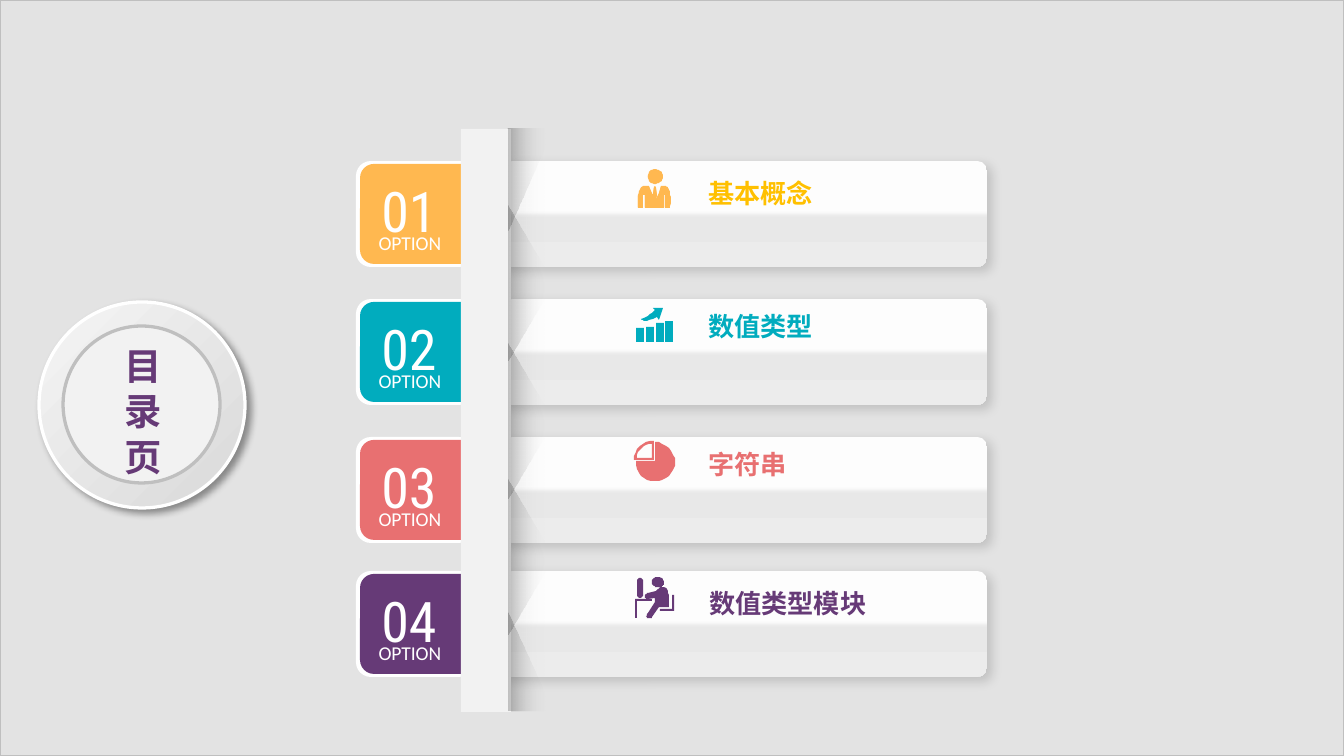
from lxml import etree
from pptx import Presentation
from pptx.dml.color import RGBColor
from pptx.enum.shapes import MSO_SHAPE
from pptx.enum.text import MSO_AUTO_SIZE, PP_ALIGN
from pptx.oxml.ns import qn
from pptx.util import Emu, Pt

RECTANGLE, ROUNDED = MSO_SHAPE.RECTANGLE, MSO_SHAPE.ROUNDED_RECTANGLE
OVAL, TRAPEZOID = MSO_SHAPE.OVAL, MSO_SHAPE.TRAPEZOID
CENTER, LEFT = PP_ALIGN.CENTER, PP_ALIGN.LEFT
FIT_SHAPE = MSO_AUTO_SIZE.SHAPE_TO_FIT_TEXT

PX = 914400 / 134.4
CJK, DIGITS, LABEL = "Noto Sans CJK SC", "Roboto Condensed", "Calibri"
COLORS = {
    "white": "FFFFFF", "black": "000000", "backdrop": "808080", "border": "BFBFBF",
    "spine": "F2F2F2", "ring_light": "F5F5F5", "ring_dark": "D9D9D9",
    "bar_top": "FDFDFD", "bar_fold": "E8E8E8", "bar_bottom": "ECECEC",
    "orange": "FFB850", "gold": "FFC000", "teal": "01ACBE", "coral": "E87071", "purple": "663A77",
}

# Gradient stops: position %, colour, opacity %
RING = [(0, "ring_light", 100), (100, "ring_dark", 100)]
BAR = [(47, "bar_top", 100), (53, "bar_fold", 100), (100, "bar_bottom", 100)]
SOFT_SHADE = [(0, "black", 8), (100, "spine", 0)]
SHADE = [(0, "black", 21), (100, "spine", 0)]
SHADE_REVERSED = [(0, "spine", 0), (100, "black", 21)]

# Row top, tab colour, heading, heading colour, heading box (left, top, width), wrap
ROWS = [
    (161, "orange", "基本概念", "gold", (695, 168, 187), True),
    (299, "teal", "数值类型", "teal", (695, 301, 133), False),
    (437, "coral", "字符串", "coral", (695, 439, 106), False),
    (571, "purple", "数值类型模块", "purple", (696, 578, 185), False),
]
ROW_HEIGHT = 106
SPINE_TOP, SPINE_HEIGHT = 129, 583
SHADE_LEFT, SHADE_WIDTH = 508, 38
CORNER_SHADES = [
    [(547, 141), (508, 230), (508, 129), (547, 129)],
    [(547, 699), (508, 613), (508, 711), (547, 711)],
]

# Outlines: pairs are corners, sextuples are Bezier curves
PERSON_HEAD = [(655, 184), (659, 184, 663, 181, 663, 177), (663, 173, 659, 170, 655, 170),
               (651, 170, 648, 173, 648, 177), (648, 181, 651, 184, 655, 184)]
PERSON_BODY = [(669, 191), (668, 188, 666, 187, 664, 187), (661, 187), (659, 194), (655, 202),
               (657, 196), (656, 188), (655, 187), (654, 188), (653, 196), (652, 194), (649, 187),
               (645, 187), (643, 187, 641, 188, 640, 191), (638, 194, 638, 202, 638, 208),
               (643, 208), (643, 195), (645, 195), (645, 208), (664, 208), (664, 195),
               (665, 195), (665, 208), (670, 208), (671, 202, 671, 194, 669, 191)]
GROWTH_BARS = [(636, 328), (646, 327), (656, 323), (665, 321)]
GROWTH_BASE = 342
GROWTH_ARROW = [(655, 310), (653, 312, 649, 317, 641, 319), (641, 319, 645, 324, 657, 317),
                (659, 320), (663, 308), (653, 308)]
PIE = [(636, 461), (636, 473, 644, 481, 655, 481), (665, 481, 675, 473, 675, 462),
       (675, 452, 665, 442, 655, 442), (655, 461)]
PIE_SLICE = [(634, 460), (654, 460), (654, 441), (643, 441, 634, 449, 634, 460)]
PIE_SLICE_HOLE = [(637, 458), (637, 450, 644, 444, 652, 444), (652, 458)]
DESK = [(635, 599), (652, 599), (652, 601), (637, 601), (637, 618), (635, 618)]
MONITOR = [(643, 595), (643, 581), (643, 577, 637, 577, 637, 581), (637, 595),
           (637, 599, 643, 599, 643, 595)]
SITTER = [(648, 613), (646, 616, 646, 617, 648, 618), (650, 618, 652, 618, 652, 617), (659, 607),
          (669, 607), (669, 599), (669, 593, 667, 587, 663, 587), (661, 587),
          (663, 586, 664, 585, 664, 582), (664, 579, 661, 577, 657, 577),
          (655, 577, 652, 579, 652, 582), (652, 585, 655, 587, 657, 587), (660, 587),
          (659, 589, 657, 590, 656, 591), (648, 593), (646, 594, 646, 594, 645, 595),
          (645, 597, 645, 599, 648, 599), (655, 598), (655, 602)]
CHAIR = [(660, 609), (672, 609), (672, 595), (674, 595), (674, 611), (660, 611)]
ICON_OUTLINES = [
    ("teal", [GROWTH_ARROW]), ("coral", [PIE]), ("coral", [PIE_SLICE, PIE_SLICE_HOLE]),
    ("purple", [DESK]), ("purple", [MONITOR]), ("purple", [SITTER]), ("purple", [CHAIR]),
]


def emu(pixels):
    return Emu(round(pixels * PX))


def rgb(color):
    return RGBColor.from_string(COLORS[color])


def add_color(parent, color, opacity):
    element = etree.SubElement(parent, qn("a:srgbClr"), val=COLORS[color])
    etree.SubElement(element, qn("a:alpha"), val=str(opacity * 1000))


def paint(shape, fill, angle=0, opacity=100, line=None, line_width=1, shadow=None):
    """Fill with a colour name or gradient stops; shadow is (opacity, blur, distance)."""
    shape.fill.background()
    placeholder = shape._element.spPr.find(qn("a:noFill"))
    if isinstance(fill, str):
        paint_element = etree.Element(qn("a:solidFill"))
        add_color(paint_element, fill, opacity)
    else:
        paint_element = etree.Element(qn("a:gradFill"), rotWithShape="1")
        stops = etree.SubElement(paint_element, qn("a:gsLst"))
        for position, color, stop_opacity in fill:
            stop = etree.SubElement(stops, qn("a:gs"), pos=str(position * 1000))
            add_color(stop, color, stop_opacity)
        etree.SubElement(paint_element, qn("a:lin"), ang=str(angle * 60000), scaled="0")
    placeholder.getparent().replace(placeholder, paint_element)
    if line:
        shape.line.color.rgb = rgb(line)
        shape.line.width = Pt(line_width)
    else:
        shape.line.fill.background()
    shape.shadow.inherit = False
    if shadow:
        shadow_opacity, blur, distance = shadow
        outer = etree.SubElement(
            shape._element.spPr.find(qn("a:effectLst")), qn("a:outerShdw"), blurRad=str(Pt(blur)),
            dist=str(Pt(distance)), dir=str(45 * 60000), algn="tl", rotWithShape="0")
        add_color(outer, "black", shadow_opacity)


def add_block(slide, kind, box, fill, adjust=None, rotation=0, **style):
    shape = slide.shapes.add_shape(kind, *map(emu, box))
    if adjust is not None:
        shape.adjustments[0] = adjust
    shape.rotation = rotation
    paint(shape, fill, **style)


def flatten(outline, steps=8):
    points = [outline[0]]
    for segment in outline[1:]:
        if len(segment) == 2:
            points.append(segment)
            continue
        x0, y0 = points[-1]
        x1, y1, x2, y2, x3, y3 = segment
        for step in range(1, steps + 1):
            t = step / steps
            u = 1 - t
            weights = u ** 3, 3 * u * u * t, 3 * u * t * t, t ** 3
            points.append((sum(w * x for w, x in zip(weights, (x0, x1, x2, x3))),
                           sum(w * y for w, y in zip(weights, (y0, y1, y2, y3)))))
    return points


def add_outline(slide, outlines, fill, lift=0, **style):
    contours = [[(x, y - lift) for x, y in flatten(outline)] for outline in outlines]
    builder = slide.shapes.build_freeform(*contours[0][0], scale=PX)
    builder.add_line_segments(contours[0][1:], close=True)
    for contour in contours[1:]:
        builder.move_to(*contour[0])
        builder.add_line_segments(contour[1:], close=True)
    paint(builder.convert_to_shape(), fill, **style)


def add_text(slide, text, box, size, font, color, bold=False, align=CENTER, wrap=True):
    frame = slide.shapes.add_textbox(*map(emu, box)).text_frame
    frame.word_wrap = wrap
    frame.auto_size = FIT_SHAPE
    paragraph = frame.paragraphs[0]
    paragraph.alignment = align
    if font == CJK:
        paragraph.line_spacing = Pt(round(size * 1.22, 1))
        frame.margin_top, frame.margin_bottom = emu(9), emu(5)
    run = paragraph.add_run()
    run.text = text
    run.font.size, run.font.bold, run.font.name = Pt(size), bold, font
    run.font.color.rgb = rgb(color)
    etree.SubElement(run._r.get_or_add_rPr(), qn("a:ea"), typeface=font)


def main():
    presentation = Presentation()
    presentation.slide_width, presentation.slide_height = emu(1344), emu(756)
    slide = presentation.slides.add_slide(presentation.slide_layouts[6])

    add_block(slide, RECTANGLE, (0, 0, 1344, 756), "backdrop", opacity=22, line="border")
    add_block(slide, OVAL, (39, 302, 206, 206), RING, angle=45, line="white", line_width=1.75,
              shadow=(40, 4, 3))
    add_block(slide, OVAL, (63, 326, 157, 157), "spine", line="border", line_width=1.75)
    add_text(slide, "目录页", (100, 333, 87, 149), 20, CJK, "purple", bold=True)

    for number, (top, color, *_) in enumerate(ROWS, 1):
        add_block(slide, ROUNDED, (356, top, 118, ROW_HEIGHT), "white", adjust=0.14)
        add_block(slide, ROUNDED, (360, top + 3, 117, 100), color, adjust=0.14)
        add_text(slide, f"{number:02}", (352, top + 9, 114, 82), 30, DIGITS, "white")
        add_text(slide, "OPTION", (353, top + 63, 114, 38), 10.5, LABEL, "white")
    tops = [row[0] for row in ROWS]
    for top in tops:
        add_block(slide, ROUNDED, (503, top, 484, ROW_HEIGHT), BAR, adjust=0.09, angle=90,
                  shadow=(14, 6, 3))

    add_block(slide, RECTANGLE, (SHADE_LEFT, SPINE_TOP, SHADE_WIDTH, SPINE_HEIGHT), SOFT_SHADE)
    add_block(slide, RECTANGLE, (461, SPINE_TOP, 50, SPINE_HEIGHT), "spine")
    for corner in CORNER_SHADES:
        add_outline(slide, [corner], SHADE)
    for top, next_top in zip(tops, tops[1:]):
        middle = (top + ROW_HEIGHT + next_top) / 2
        add_block(slide, TRAPEZOID, (450, middle - SHADE_WIDTH / 2, 155, SHADE_WIDTH),
                  SHADE_REVERSED, adjust=1.74, rotation=90, angle=90)

    for lift in (0, 1):
        for outline in (PERSON_HEAD, PERSON_BODY):
            add_outline(slide, [outline], "orange", lift=lift)
    for left, top in GROWTH_BARS:
        add_block(slide, RECTANGLE, (left, top, 8, GROWTH_BASE - top), "teal")
    for color, outlines in ICON_OUTLINES:
        add_outline(slide, outlines, color)
    for _, _, heading, color, (left, top, width), wrap in ROWS:
        add_text(slide, heading, (left, top, width, 46), 14, CJK, color, bold=True, align=LEFT,
                 wrap=wrap)

    presentation.save("out.pptx")


if __name__ == "__main__":
    main()
